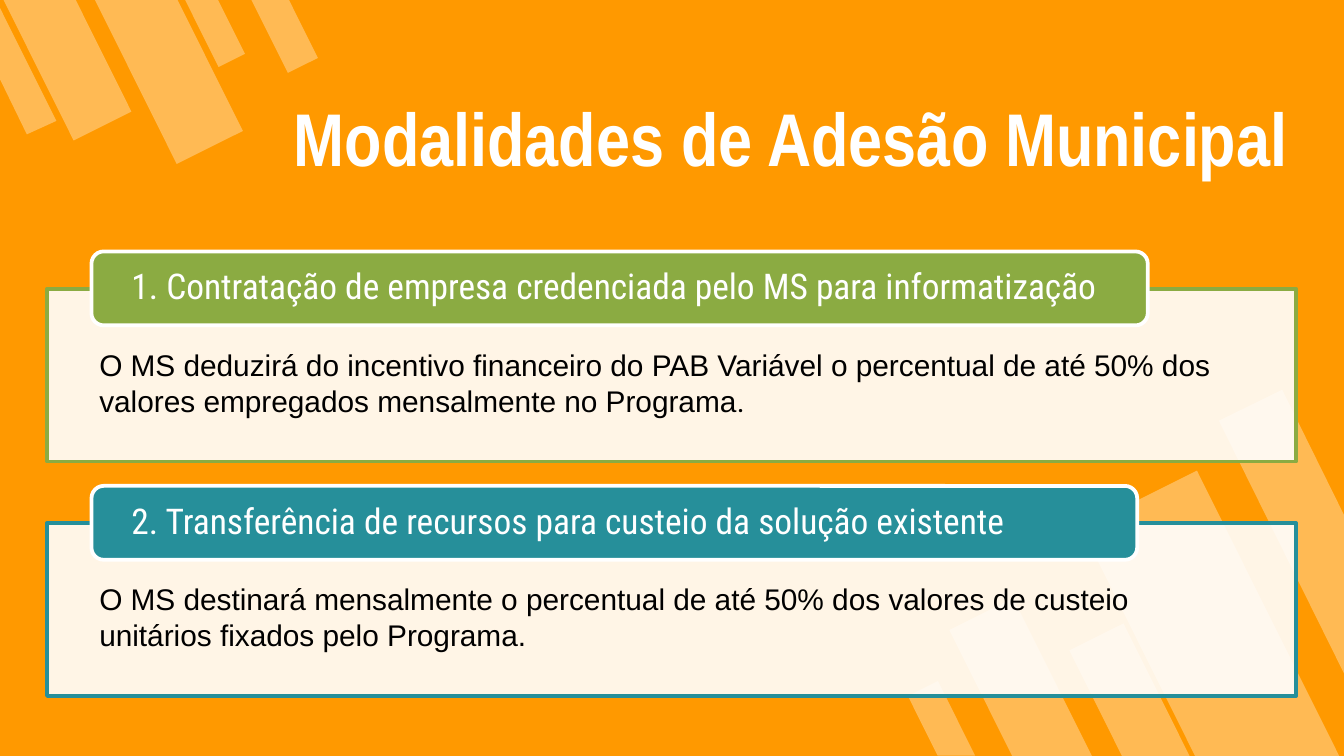
"""Build a slide on the two ways a municipality can join the programme."""
from lxml import etree
from pptx import Presentation
from pptx.dml.color import RGBColor
from pptx.enum.shapes import MSO_SHAPE
from pptx.enum.text import MSO_ANCHOR, PP_ALIGN
from pptx.oxml.ns import qn
from pptx.util import Pt

RECTANGLE = MSO_SHAPE.RECTANGLE
ROUNDED = MSO_SHAPE.ROUNDED_RECTANGLE
STRIPE = MSO_SHAPE.FLOWCHART_MANUAL_INPUT
TOP, MIDDLE = MSO_ANCHOR.TOP, MSO_ANCHOR.MIDDLE
LEFT, CENTER = PP_ALIGN.LEFT, PP_ALIGN.CENTER

ORANGE = RGBColor(0xFF, 0x99, 0x00)
WHITE = RGBColor(0xFF, 0xFF, 0xFF)
BLACK = RGBColor(0, 0, 0)
GREEN = RGBColor(0x8B, 0xAB, 0x42)
TEAL = RGBColor(0x26, 0x8F, 0x9A)

TITLE = "Modalidades de Adesão Municipal"
OPTIONS = [
    {
        "heading": "1. Contratação de empresa credenciada pelo MS para informatização",
        "body": [
            ("O MS deduzirá do incentivo financeiro do PAB Variável o percentual de até 50% "
             "dos valores empregados mensalmente no Programa", "Arial"),
            (".", "Roboto Condensed"),
        ],
        "color": GREEN,
        "tab_width": 565.9,
    },
    {
        "heading": "2. Transferência de recursos para custeio da solução existente",
        "body": [
            ("O MS destinará mensalmente o percentual de até 50% dos valores de custeio "
             "unitários fixados pelo Programa.", "Arial"),
        ],
        "color": TEAL,
        "tab_width": 560.2,
    },
]

STRIPE_GROUPS = [
    (153.5, [(527.8, 324, 38.2, 95), (614.2, 258.5, 69.1, 172.1),
             (589, 337, 32.4, 79.9), (495.4, 366.5, 18, 44.6)]),
    (333.5, [(107.3, -5.8, 15.8, 40.3), (18.7, -13, 34.6, 85),
             (70.6, -14.4, 39.6, 98.6), (143.3, -7.2, 18, 44.6)]),
]
CUT_STRIPES = [
    [(686.9, 208.8), (653, 225.4), (720, 360.7), (720, 275.8)],
    [(14.4, 72), (30.2, 64.8), (0, 4.3), (0, 42.5)],
]

PANEL_LEFT, PANEL_TOP, PANEL_WIDTH, PANEL_HEIGHT = 25.2, 154.7, 669.2, 92.6
TAB_LEFT, TAB_RISE, TAB_HEIGHT = 49, 20, 39.6
PITCH = 125.6

TITLE_FORMAT = {"size": Pt(40), "bold": True}
HEADING_FORMAT = {"size": Pt(19)}
BODY_FORMAT = {"size": Pt(16)}


def paint(shape, color, opacity=100, line=None):
    shape.shadow.inherit = False
    shape.fill.solid()
    shape.fill.fore_color.rgb = color
    if opacity < 100:
        tint = shape.fill._xPr.find(qn("a:solidFill"))[0]
        etree.SubElement(tint, qn("a:alpha")).set("val", str(opacity * 1000))
    if line is None:
        shape.line.fill.background()
    else:
        shape.line.color.rgb = line
        shape.line.width = Pt(2)


def write(shape, spans, color, formats, margins, anchor, align, spacing=1.0):
    frame = shape.text_frame
    frame.word_wrap = True
    frame.vertical_anchor = anchor
    for side, margin in zip(("left", "top", "right", "bottom"), margins):
        setattr(frame, f"margin_{side}", Pt(margin))
    para = frame.paragraphs[0]
    para.alignment = align
    para.line_spacing = spacing
    for text, font_name in spans:
        span = para.add_run()
        span.text = text
        span.font.color.rgb = color
        for name, value in {"name": font_name, **formats}.items():
            setattr(span.font, name, value)


def add_box(page, kind, *place):
    return page.shapes.add_shape(kind, *map(Pt, place))


def add_stripes(page):
    for (angle, places), corners in zip(STRIPE_GROUPS, CUT_STRIPES):
        for place in places:
            stripe = add_box(page, STRIPE, *place)
            stripe.rotation = angle
            stripe._element.spPr.find(qn("a:xfrm")).set("flipH", "1")
            paint(stripe, WHITE, 33)
        start, *rest = [(Pt(x), Pt(y)) for x, y in corners]
        builder = page.shapes.build_freeform(*start)
        builder.add_line_segments(rest, close=True)
        paint(builder.convert_to_shape(), WHITE, 33)


def add_option(page, index, option):
    top = PANEL_TOP + index * PITCH
    panel = add_box(page, RECTANGLE, PANEL_LEFT, top, PANEL_WIDTH, PANEL_HEIGHT)
    paint(panel, WHITE, 90, option["color"])
    write(panel, option["body"], BLACK, BODY_FORMAT, (28, 31, 28, 8.6), TOP, LEFT)

    tab = add_box(page, ROUNDED, TAB_LEFT, top - TAB_RISE, option["tab_width"], TAB_HEIGHT)
    paint(tab, option["color"], line=WHITE)
    write(tab, [(option["heading"], "Roboto Condensed")], WHITE, HEADING_FORMAT,
          (19.5, 2, 19.5, 2), MIDDLE, LEFT, 0.9)


def main():
    deck = Presentation()
    deck.slide_width, deck.slide_height = Pt(720), Pt(405)
    page = deck.slides.add_slide(deck.slide_layouts[6])
    page.background.fill.solid()
    page.background.fill.fore_color.rgb = ORANGE

    add_stripes(page)
    title = page.shapes.add_textbox(*map(Pt, (127.4, 46.8, 592.6, 53.3)))
    write(title, [(TITLE, "Arial Narrow")], WHITE, TITLE_FORMAT, (7.2,) * 4, MIDDLE, CENTER)
    for index, option in enumerate(OPTIONS):
        add_option(page, index, option)
    deck.save("out.pptx")


if __name__ == "__main__":
    main()
